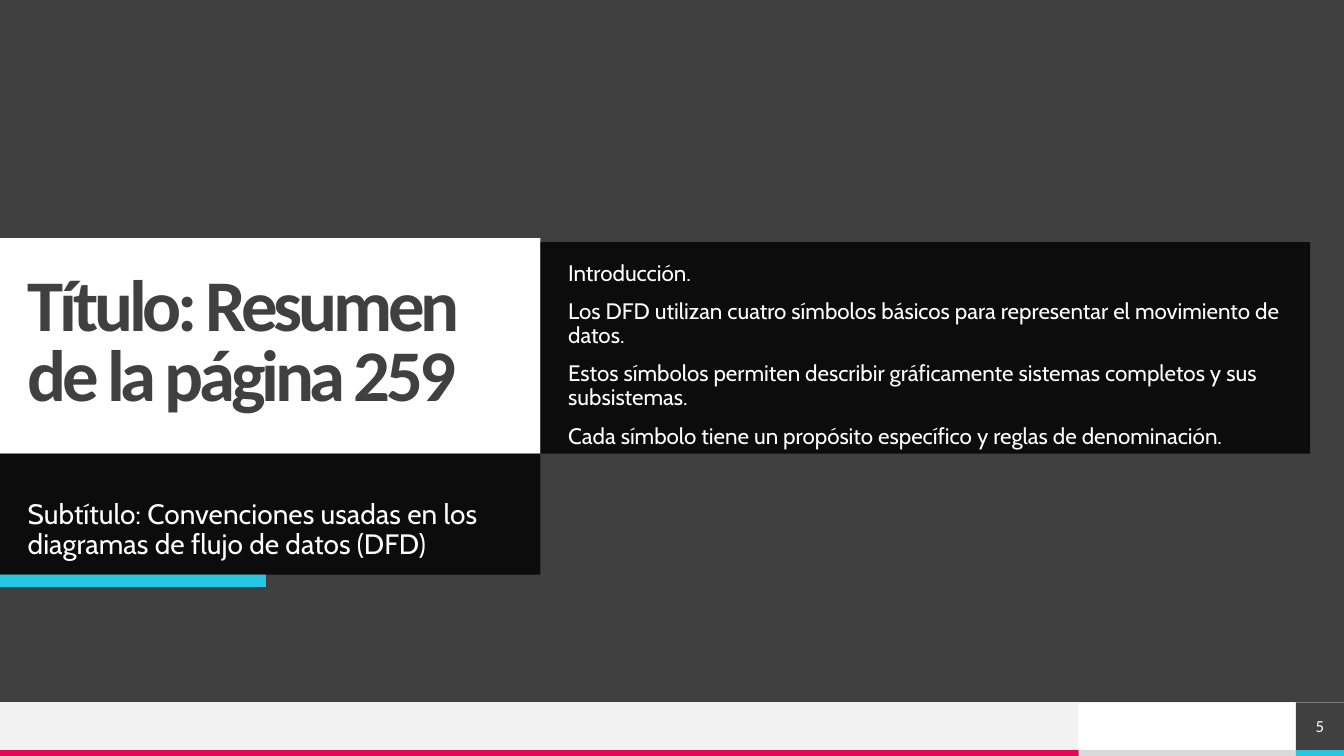
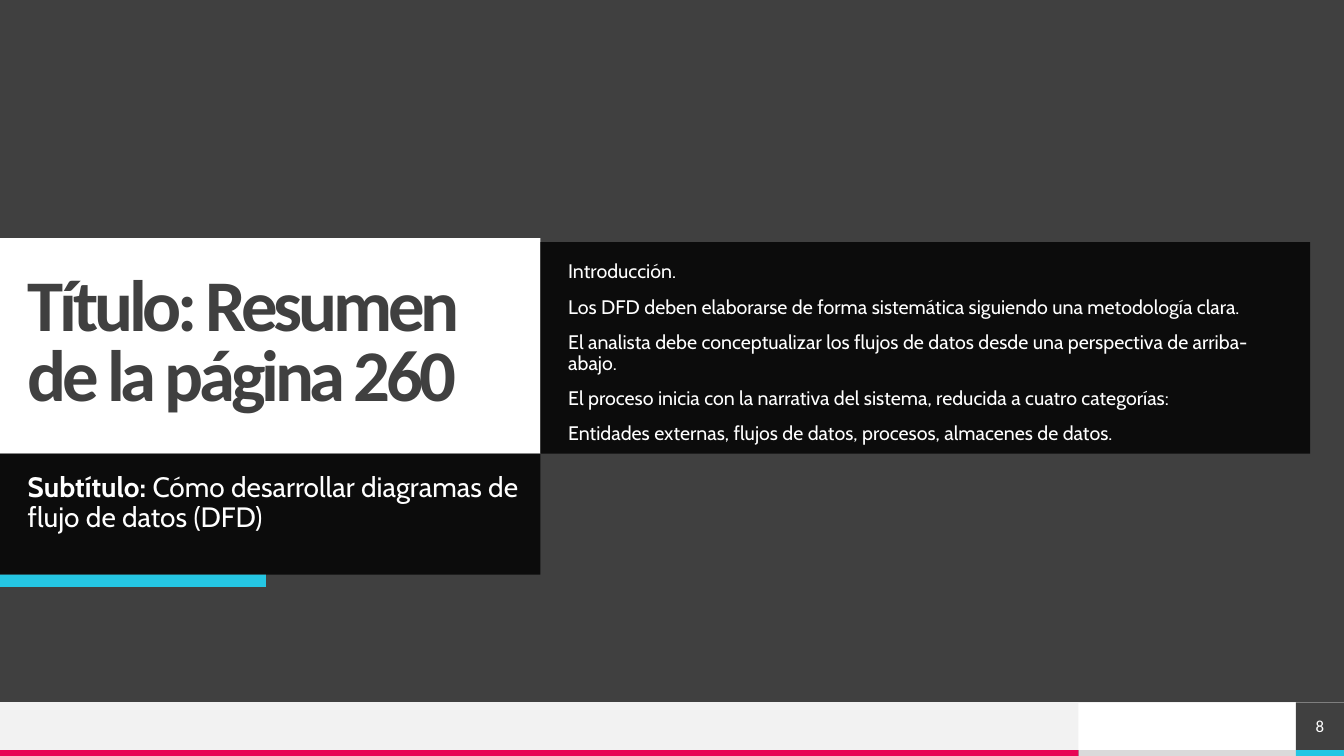
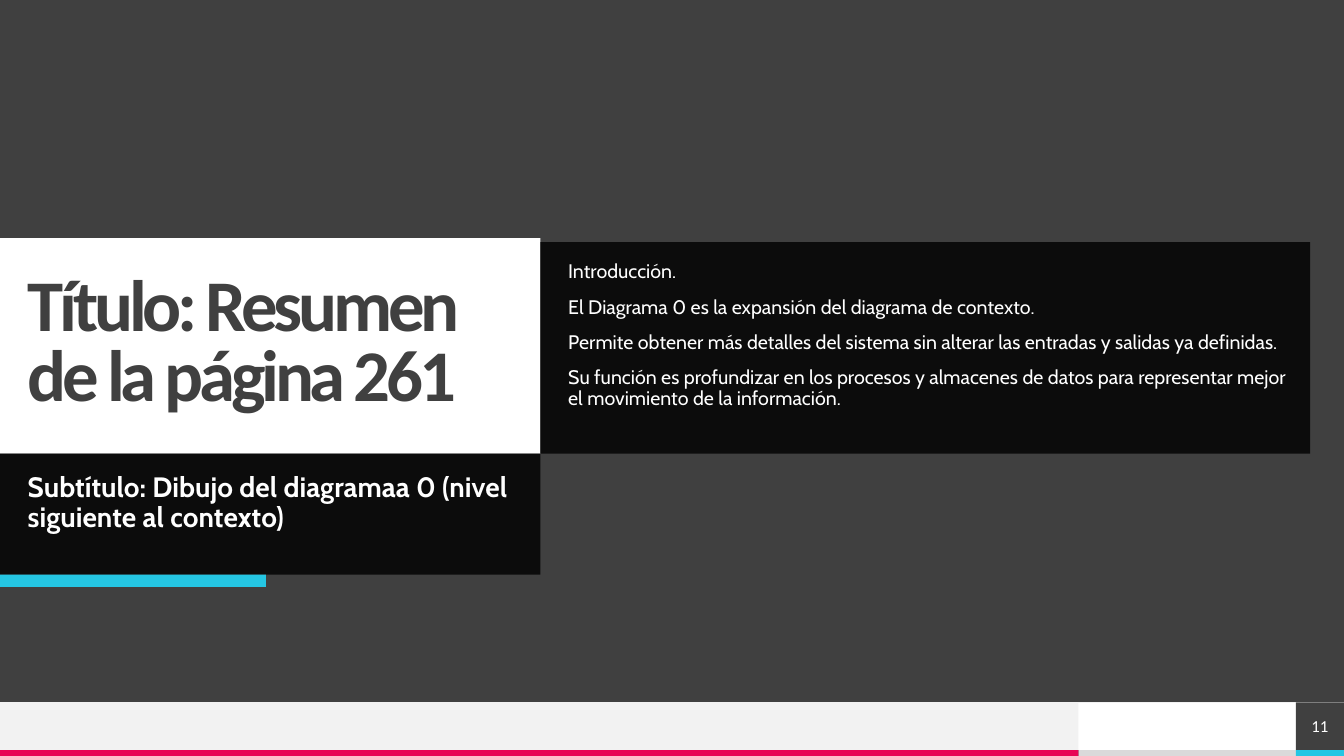
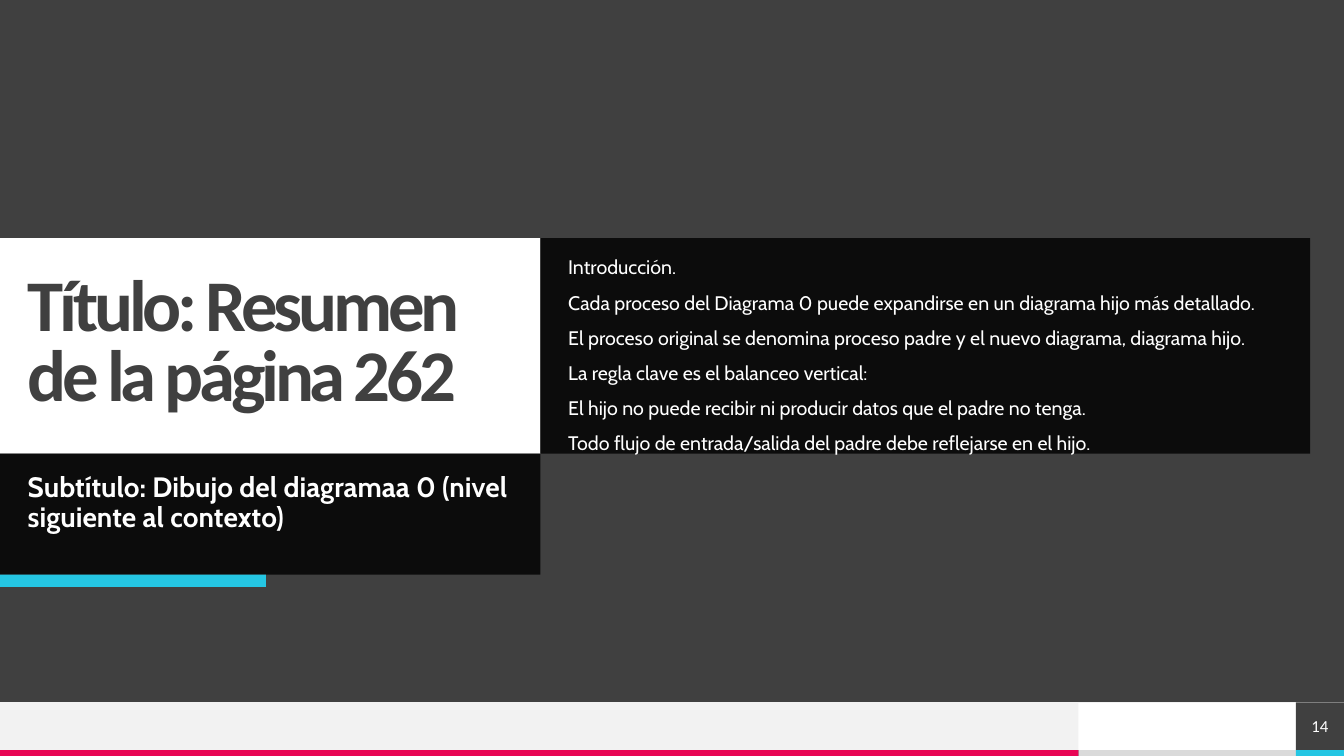
from lxml.etree import SubElement
from pptx import Presentation
from pptx.dml.color import RGBColor
from pptx.enum.shapes import MSO_CONNECTOR, MSO_SHAPE
from pptx.enum.text import MSO_ANCHOR, MSO_AUTO_SIZE, PP_ALIGN
from pptx.oxml.ns import qn
from pptx.util import Cm, Pt

COLORS = {
    "background": "404040", "white": "FFFFFF", "black": "000000",
    "cyan": "25C6E3", "magenta": "E80554", "footer": "F2F2F2", "gray": "DADADA",
}
WIDTH, HEIGHT = 33.87, 19.05
PANEL_TOP, PANEL_SPLIT, PANEL_BOTTOM = 6, 11.43, 14.48
PANEL_WIDTH, BODY_RIGHT = 13.62, 33.02
FOOTER_TOP, STRIPE_TOP = 17.7, 18.9
BLANK_LEFT, NUMBER_LEFT = 27.18, 32.66
PANEL_MARGINS = (0.7, 0.5, 0.5, 0.5)

TITLE_FONT = {"name": "Calibri", "size": Pt(52), "bold": True}
NUMBER_FONT = {"name": "Calibri", "size": Pt(12)}
TITLE_PARAGRAPH = {"alignment": PP_ALIGN.LEFT, "line_spacing": 0.8, "space_before": Pt(0)}
PANEL_PARAGRAPH = {"alignment": PP_ALIGN.LEFT, "line_spacing": 0.9, "space_before": Pt(10)}
NUMBER_PARAGRAPH = {"alignment": PP_ALIGN.CENTER}


def apply(target, values):
    for attribute, value in values.items():
        setattr(target, attribute, value)


def rgb(color):
    return RGBColor.from_string(COLORS[color])


class Deck:
    def __init__(self):
        self.prs = Presentation()
        self.prs.slide_width, self.prs.slide_height = Cm(WIDTH), Cm(HEIGHT)
        fill = self.prs.slide_master.background.fill
        fill.solid()
        fill.fore_color.rgb = rgb("background")
        self.slide = None

    def new_slide(self, number):
        self.slide = self.prs.slides.add_slide(self.prs.slide_layouts[5])
        self.footer(number)

    def frame(self, shape, margins, anchor=MSO_ANCHOR.TOP):
        """Prepare the text frame; margins are left, top, right, bottom in cm."""
        frame = shape.text_frame
        left, top, right, bottom = map(Cm, margins)
        apply(frame, {
            "word_wrap": True, "auto_size": MSO_AUTO_SIZE.NONE, "vertical_anchor": anchor,
            "margin_left": left, "margin_top": top,
            "margin_right": right, "margin_bottom": bottom,
        })
        return frame

    def paragraph(self, frame, runs, layout, font, color="white", spacing=0):
        """Add a paragraph of (text, font changes) runs, using an empty first one."""
        first = frame.paragraphs[0]
        paragraph = frame.add_paragraph() if first.runs else first
        apply(paragraph, layout)
        for text, changes in runs:
            run = paragraph.add_run()
            run.text = text
            apply(run.font, {**font, **changes})
            run.font.color.rgb = rgb(color)
            if spacing:
                run._r.get_or_add_rPr().set("spc", str(round(spacing * 100)))

    def rect(self, left, top, right, bottom, color, opacity=100):
        shape = self.slide.shapes.add_shape(
            MSO_SHAPE.RECTANGLE, Cm(left), Cm(top), Cm(right - left), Cm(bottom - top))
        shape.shadow.inherit = False
        shape.fill.solid()
        shape.fill.fore_color.rgb = rgb(color)
        shape.line.fill.background()
        if opacity < 100:
            solid = shape._element.spPr.find(qn("a:solidFill"))
            SubElement(solid[0], qn("a:alpha")).set("val", str(opacity * 1000))
        return shape

    def rule(self, left, right, top, color):
        line = self.slide.shapes.add_connector(
            MSO_CONNECTOR.STRAIGHT, Cm(left), Cm(top), Cm(right), Cm(top))
        line.line.color.rgb = rgb(color)
        line.line.width = Pt(0.5)
        SubElement(line._element.spPr, qn("a:effectLst"))

    def footer(self, number):
        self.rect(0, FOOTER_TOP, NUMBER_LEFT, STRIPE_TOP, "footer")
        self.rect(BLANK_LEFT, FOOTER_TOP, NUMBER_LEFT, STRIPE_TOP, "white")
        self.rule(0, WIDTH, FOOTER_TOP, "footer")
        for left, right, color in (
                (BLANK_LEFT, NUMBER_LEFT, "gray"), (0, BLANK_LEFT, "magenta"),
                (NUMBER_LEFT, WIDTH, "cyan")):
            self.rect(left, STRIPE_TOP, right, HEIGHT, color)
        box = self.rect(NUMBER_LEFT, FOOTER_TOP, WIDTH, STRIPE_TOP, "background")
        frame = self.frame(box, (0, 0, 0, 0), MSO_ANCHOR.MIDDLE)
        self.paragraph(frame, [(str(number), {})], NUMBER_PARAGRAPH, NUMBER_FONT)

    def title(self, text):
        title = self.slide.shapes.title
        apply(title, {"left": Cm(0), "top": Cm(PANEL_TOP), "width": Cm(PANEL_WIDTH),
                      "height": Cm(PANEL_SPLIT - PANEL_TOP)})
        title.fill.solid()
        title.fill.fore_color.rgb = rgb("white")
        frame = self.frame(title, PANEL_MARGINS, MSO_ANCHOR.MIDDLE)
        self.paragraph(frame, [(text, {})], TITLE_PARAGRAPH, TITLE_FONT, "background", -3)

    def panel(self, bounds, paragraphs, size, drop=0):
        """Dark translucent box; drop moves its text down, in cm."""
        left, top, right, bottom = PANEL_MARGINS
        frame = self.frame(self.rect(*bounds, "black", 80), (left, top + drop, right, bottom))
        for runs in paragraphs:
            self.paragraph(frame, runs, PANEL_PARAGRAPH, {"name": "Cabin", "size": Pt(size)})

    def body(self, lines, size, top):
        self.panel((PANEL_WIDTH, top, BODY_RIGHT, PANEL_SPLIT),
                   [[(line, {})] for line in lines], size)

    def subtitle(self, runs, drop):
        self.panel((0, PANEL_SPLIT, PANEL_WIDTH, PANEL_BOTTOM), [runs], 20, drop)
        self.rect(0, PANEL_BOTTOM, 6.7, PANEL_BOTTOM + 0.31, "cyan")


BOLD = {"bold": True}
DIAGRAM_0 = [("Subtítulo: Dibujo del diagramaa 0 (nivel siguiente al contexto)", BOLD)]
SUMMARIES = [
    {
        "number": 5, "page": 259, "size": 16, "top": 6.1, "drop": 0.68,
        "subtitle": [("Subtítulo: Convenciones usadas en los diagramas de flujo de datos (DFD)", {})],
        "lines": [
            "Los DFD utilizan cuatro símbolos básicos para representar el movimiento de datos.",
            "Estos símbolos permiten describir gráficamente sistemas completos y sus subsistemas.",
            "Cada símbolo tiene un propósito específico y reglas de denominación.",
        ],
    },
    {
        "number": 8, "page": 260, "size": 14, "top": 6.1, "drop": 0,
        "subtitle": [("Subtítulo:", BOLD),
                     (" Cómo desarrollar diagramas de flujo de datos (DFD)", {})],
        "lines": [
            "Los DFD deben elaborarse de forma sistemática siguiendo una metodología clara.",
            "El analista debe conceptualizar los flujos de datos desde una perspectiva de arriba-abajo.",
            "El proceso inicia con la narrativa del sistema, reducida a cuatro categorías:",
            "Entidades externas, flujos de datos, procesos, almacenes de datos.",
        ],
    },
    {
        "number": 11, "page": 261, "size": 14, "top": 6.1, "drop": 0,
        "subtitle": DIAGRAM_0,
        "lines": [
            "El Diagrama 0 es la expansión del diagrama de contexto.",
            "Permite obtener más detalles del sistema sin alterar las entradas y salidas ya definidas.",
            "Su función es profundizar en los procesos y almacenes de datos para representar mejor "
            "el movimiento de la información.",
        ],
    },
    {
        "number": 14, "page": 262, "size": 14, "top": PANEL_TOP, "drop": 0,
        "subtitle": DIAGRAM_0,
        "lines": [
            "Cada proceso del Diagrama 0 puede expandirse en un diagrama hijo más detallado.",
            "El proceso original se denomina proceso padre y el nuevo diagrama, diagrama hijo.",
            "La regla clave es el balanceo vertical:",
            "El hijo no puede recibir ni producir datos que el padre no tenga.",
            "Todo flujo de entrada/salida del padre debe reflejarse en el hijo.",
        ],
    },
]


def main():
    deck = Deck()
    for summary in SUMMARIES:
        deck.new_slide(summary["number"])
        deck.title(f"Título: Resumen de la página {summary['page']}")
        deck.body(["Introducción.", *summary["lines"]], summary["size"], summary["top"])
        deck.subtitle(summary["subtitle"], summary["drop"])
    deck.prs.save("out.pptx")


if __name__ == "__main__":
    main()
